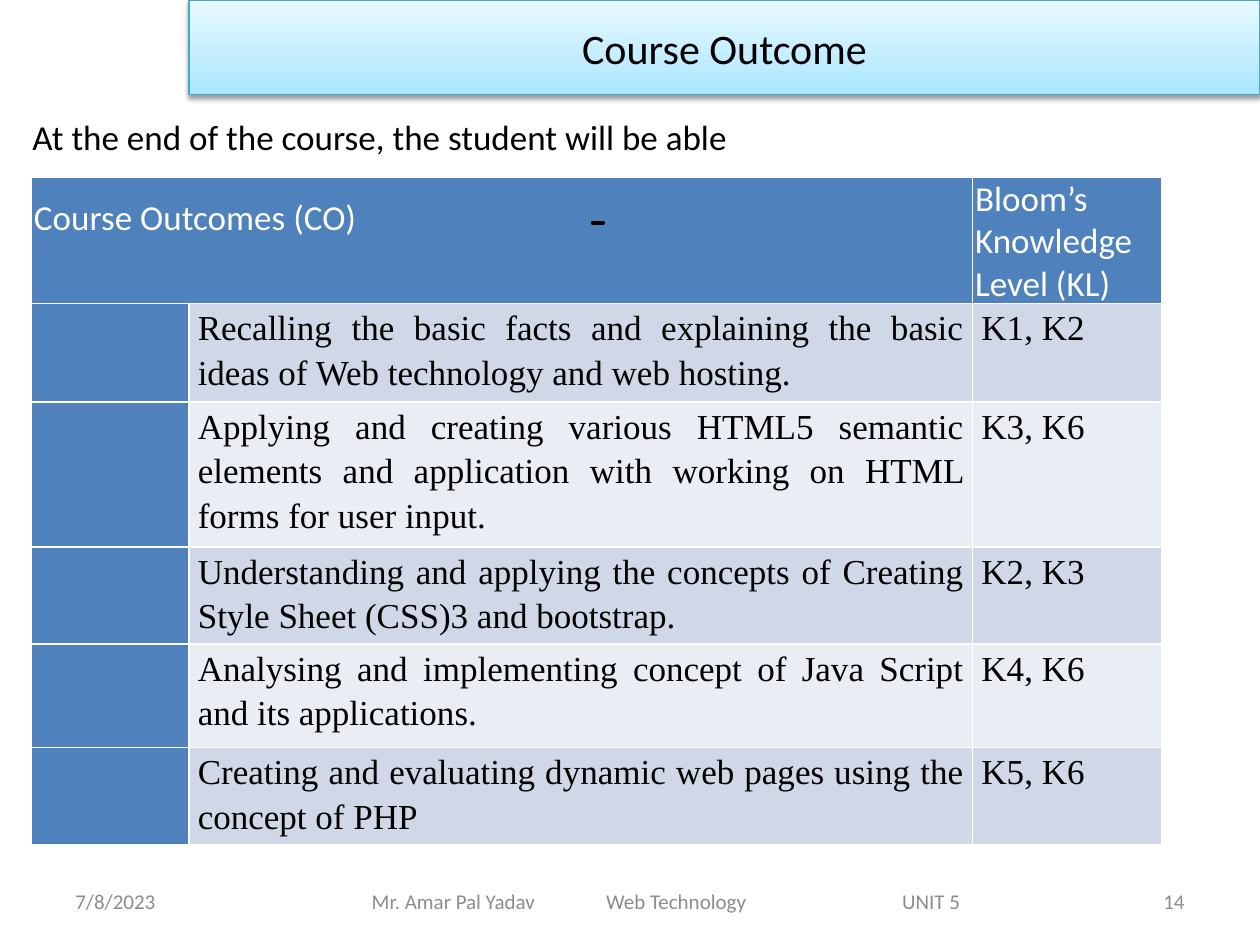
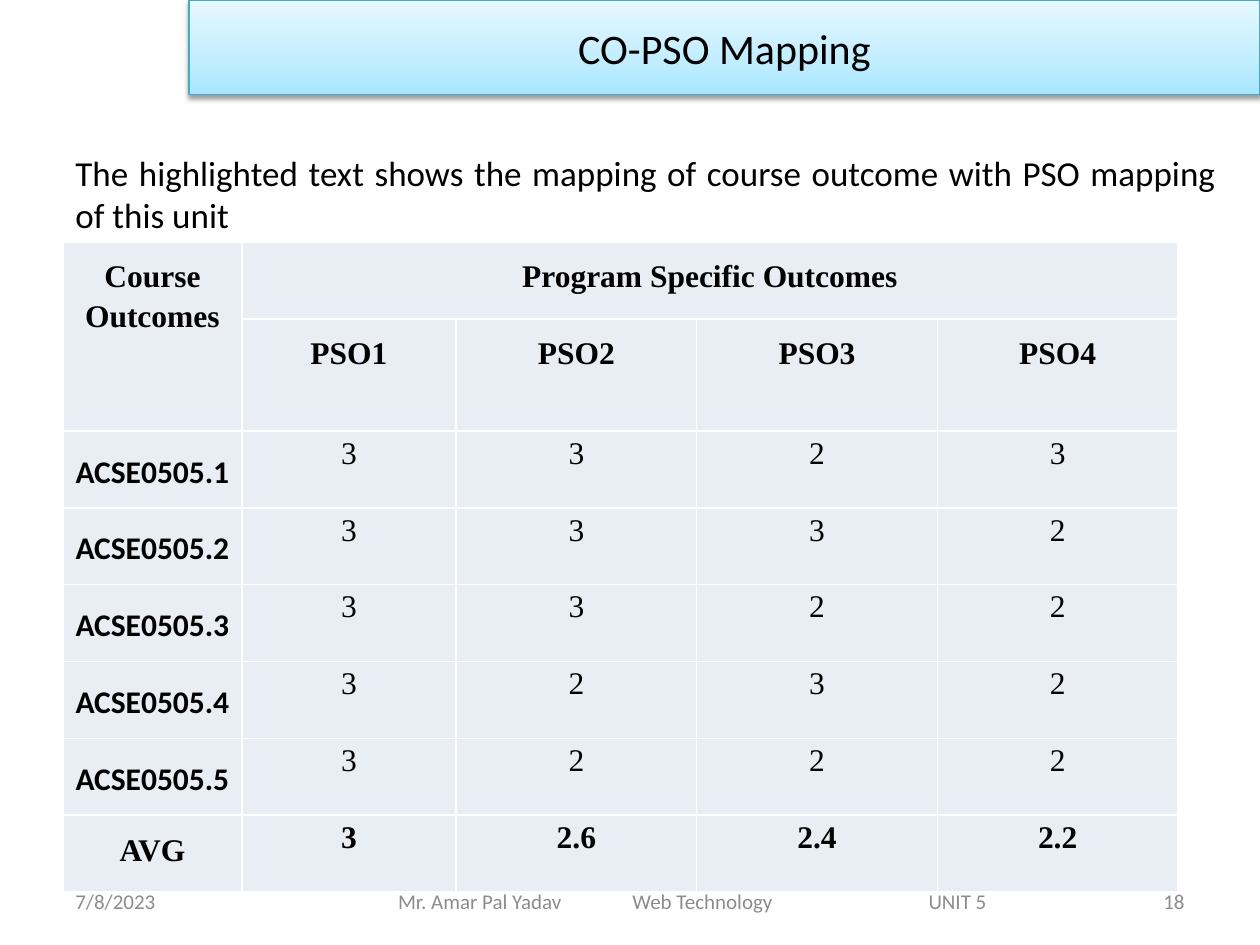
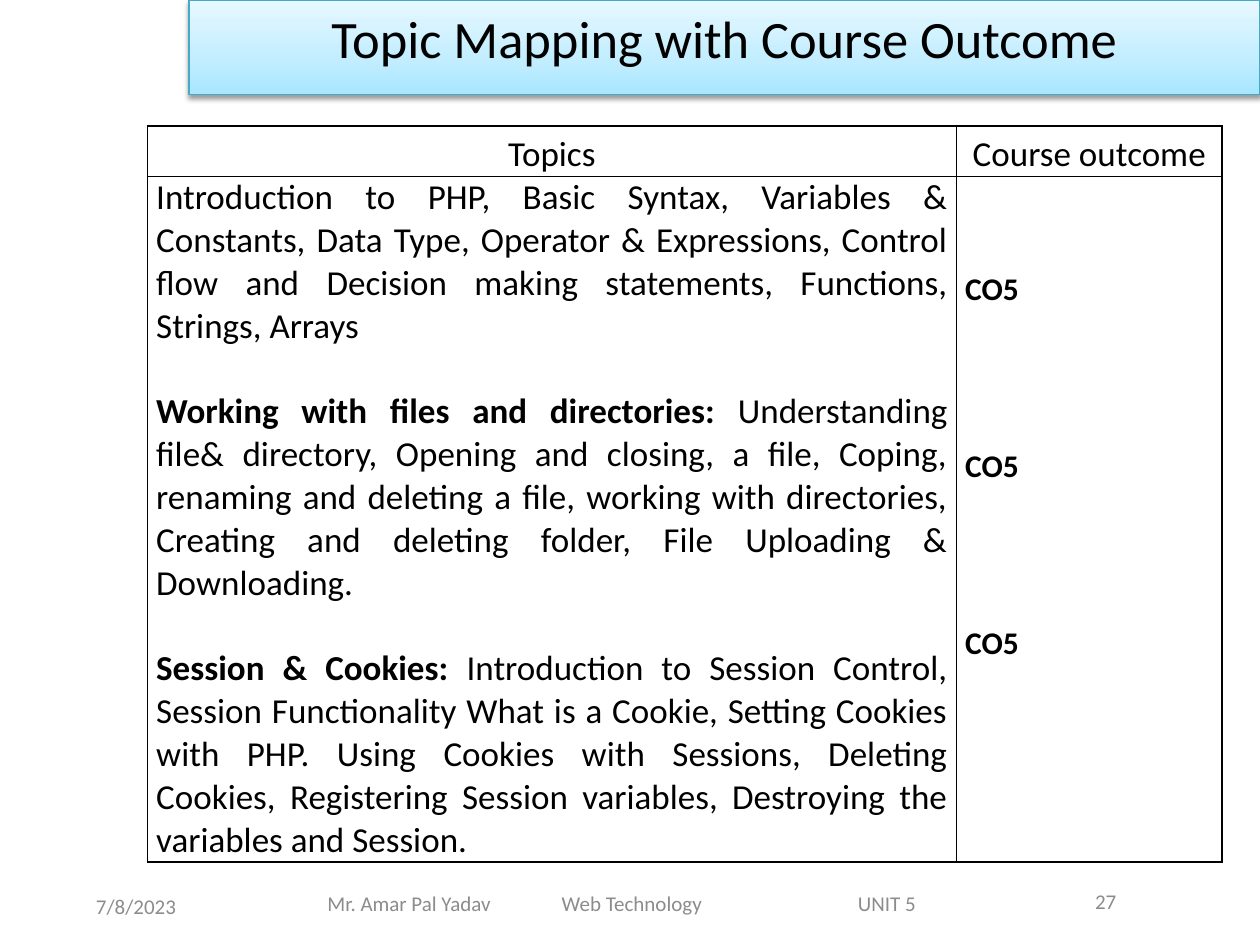
from lxml import etree
from pptx import Presentation
from pptx.dml.color import RGBColor
from pptx.enum.shapes import MSO_SHAPE
from pptx.enum.text import MSO_ANCHOR, PP_ALIGN
from pptx.oxml.ns import nsdecls, qn
from pptx.oxml import parse_xml
from pptx.util import Inches, Pt

RECT = MSO_SHAPE.RECTANGLE
TOP, MIDDLE = MSO_ANCHOR.TOP, MSO_ANCHOR.MIDDLE
LEFT, CENTER, RIGHT, JUSTIFY = (
    PP_ALIGN.LEFT, PP_ALIGN.CENTER, PP_ALIGN.RIGHT, PP_ALIGN.JUSTIFY)
SANS, SERIF = "Calibri", "Times New Roman"
C = {"text": "000000", "white": "FFFFFF", "footer": "8C8C8C", "head": "4F81BD",
     "band": "D0D8E8", "pale": "E9EDF4", "title_line": "46AAC5"}
TITLE_STOPS = [(0, "A7E6FF"), (35, "C1EDFF"), (100, "E7F8FF")]
FOOTER = "Mr. Amar Pal Yadav\tWeb Technology\tUNIT 5"
FOOTER_TABS = (1.86, 4.21)
DATE = "7/8/2023"

OUTCOMES = [
    ("Recalling the basic facts and explaining the basic ideas of Web technology "
     "and web hosting.", "K1, K2"),
    ("Applying and creating various HTML5 semantic elements and application with "
     "working on HTML forms for user input.", "K3, K6"),
    ("Understanding and applying the concepts of Creating Style Sheet (CSS)3 and "
     "bootstrap.", "K2, K3"),
    ("Analysing and implementing concept of Java Script and its applications.",
     "K4, K6"),
    ("Creating and evaluating dynamic web pages using the concept of PHP", "K5, K6"),
]
PSO_SCORES = [
    ("ACSE0505.1", 3, 3, 2, 3),
    ("ACSE0505.2", 3, 3, 3, 2),
    ("ACSE0505.3", 3, 3, 2, 2),
    ("ACSE0505.4", 3, 2, 3, 2),
    ("ACSE0505.5", 3, 2, 2, 2),
    ("AVG", 3, 2.6, 2.4, 2.2),
]
TOPICS = [
    "Introduction to PHP, Basic Syntax, Variables & Constants, Data Type, Operator & "
    "Expressions, Control flow and Decision making statements, Functions, Strings, Arrays",
    [("Working with files and directories: ", True),
     ("Understanding file& directory, Opening and closing, a file, Coping, renaming and "
      "deleting a file, working with directories, Creating and deleting folder, File "
      "Uploading & Downloading.", False)],
    [("Session & Cookies: ", True),
     ("Introduction to Session Control, Session Functionality What is a Cookie, Setting "
      "Cookies with PHP. Using Cookies with Sessions, Deleting Cookies, Registering "
      "Session variables, Destroying the variables and Session.", False)],
]
TOPIC_OUTCOMES = ["CO5"] * 3

prs = Presentation()
prs.slide_width, prs.slide_height = Inches(10), Inches(7.5)


def rgb(name):
    return RGBColor.from_string(C[name])


def write(tf, paras, size=20, font=SANS, color="text", bold=False, align=LEFT,
          line=None, gap=0, after=0, tabs=()):
    for i, para in enumerate([paras] if isinstance(paras, str) else paras):
        p = tf.paragraphs[0] if i == 0 else tf.add_paragraph()
        p.alignment = align
        if line:
            p.line_spacing = line
        p.space_before = Pt(gap if i else 0)
        p.space_after = Pt(after)
        if tabs:
            tab_list = etree.SubElement(p._p.get_or_add_pPr(), qn("a:tabLst"))
            for pos in tabs:
                etree.SubElement(tab_list, qn("a:tab"), pos=str(Inches(pos)), algn="l")
        for text, strong in [(para, bold)] if isinstance(para, str) else para:
            r = p.add_run()
            r.text = text
            r.font.size, r.font.name, r.font.bold = Pt(size), font, strong
            r.font.color.rgb = rgb(color)


def add_text(s, box, paras, anchor=TOP, wrap=True, inset=0.1, **fmt):
    tf = s.shapes.add_textbox(*map(Inches, box)).text_frame
    tf.word_wrap, tf.vertical_anchor, tf.margin_left = wrap, anchor, Inches(inset)
    write(tf, paras, **fmt)


def add_title(s, text, size, anchor):
    sp = s.shapes.add_shape(RECT, Inches(1.5), 0, Inches(8.5), Inches(0.75))
    sp.line.color.rgb, sp.line.width = rgb("title_line"), Pt(0.75)
    stops = "".join(f'<a:gs pos="{pos * 1000}"><a:srgbClr val="{color}"/></a:gs>'
                    for pos, color in TITLE_STOPS)
    spPr = sp._element.spPr
    spPr.insert(2, parse_xml(
        f'<a:gradFill {nsdecls("a")} rotWithShape="1"><a:gsLst>{stops}</a:gsLst>'
        '<a:lin ang="16200000" scaled="0"/></a:gradFill>'))
    sp.shadow.inherit = False
    spPr.find(qn("a:effectLst")).append(parse_xml(
        f'<a:outerShdw {nsdecls("a")} blurRad="{Pt(3.1)}" dist="{Pt(1.6)}" dir="5400000" '
        'rotWithShape="0"><a:srgbClr val="000000"><a:alpha val="38000"/></a:srgbClr>'
        '</a:outerShdw>'))
    sp.text_frame.word_wrap, sp.text_frame.vertical_anchor = True, anchor
    write(sp.text_frame, text, size=size, align=CENTER)


def add_slide(title, number, footer_box, footer_inset=0.1, date_box=(0.5, 6.95, 2.33, 0.4),
              number_box=(7.17, 6.95, 2.33, 0.4), aligns=(LEFT, RIGHT),
              title_size=24, title_anchor=MIDDLE):
    s = prs.slides.add_slide(prs.slide_layouts[6])
    add_title(s, title, title_size, title_anchor)
    style = dict(anchor=MIDDLE, size=12, color="footer")
    add_text(s, date_box, DATE, align=aligns[0], **style)
    add_text(s, number_box, number, align=aligns[1], **style)
    add_text(s, footer_box, FOOTER, inset=footer_inset, tabs=FOOTER_TABS, **style)
    return s


def add_grid(s, left, top, cols, rows, border):
    table = s.shapes.add_table(len(rows), len(cols), Inches(left), Inches(top),
                               Inches(sum(cols)), Inches(sum(rows))).table
    table.first_row = table.horz_banding = False
    for column, width in zip(table.columns, cols):
        column.width = Inches(width)
    for row, height in zip(table.rows, rows):
        row.height = Inches(height)
    for cell in table.iter_cells():
        tcPr = cell._tc.get_or_add_tcPr()
        for side in "LRTB":
            tcPr.append(parse_xml(
                f'<a:ln{side} {nsdecls("a")} w="{Pt(1)}"><a:solidFill>'
                f'<a:srgbClr val="{C[border]}"/></a:solidFill></a:ln{side}>'))
        cell.fill.background()
    return table


def fill_cell(cell, paras="", fill=None, anchor=TOP, side=0.07, top=0, bottom=0, **fmt):
    cell.margin_left = cell.margin_right = Inches(side)
    cell.margin_top, cell.margin_bottom = Inches(top), Inches(bottom)
    cell.vertical_anchor = anchor
    if fill:
        cell.fill.solid()
        cell.fill.fore_color.rgb = rgb(fill)
    if paras:
        write(cell.text_frame, paras, **fmt)


def course_outcome():
    s = add_slide("Course Outcome", "14", (2.17, 6.95, 6.25, 0.4), 0.78)
    add_text(s, (0.16, 0.87, 5.77, 0.44),
             "At the end of the course, the student will be able", wrap=False)
    t = add_grid(s, 0.25, 1.41, [1.25, 6.22, 1.5],
                 [0.98, 0.78, 1.14, 0.77, 0.82, 0.77], "white")
    t.cell(0, 0).merge(t.cell(0, 1))
    head = dict(fill="head", side=0.02, color="white")
    fill_cell(t.cell(0, 0), "Course Outcomes (CO)", top=0.32, line=Pt(12.7), **head)
    fill_cell(t.cell(0, 2), "Bloom’s Knowledge Level (KL)", anchor=MIDDLE, **head)
    for i, (outcome, level) in enumerate(OUTCOMES, 1):
        body = dict(fill="band" if i % 2 else "pale", font=SERIF, line=1.15)
        fill_cell(t.cell(i, 0), fill="head")
        fill_cell(t.cell(i, 1), outcome, align=JUSTIFY, **body)
        fill_cell(t.cell(i, 2), level, **body)
    dash = s.shapes.add_shape(RECT, *map(Inches, (4.7, 1.76, 0.09, 0.02)))
    dash.shadow.inherit = False
    dash.fill.background()
    dash.line.color.rgb, dash.line.width = rgb("text"), Pt(1.42)


def pso_mapping():
    s = add_slide("CO-PSO Mapping", "18", (2.75, 6.95, 5.5, 0.4), 0.41)
    add_text(s, (0.5, 1.15, 9.25, 0.77),
             "The highlighted text shows the mapping of course outcome with PSO mapping "
             "of this unit", align=JUSTIFY)
    t = add_grid(s, 0.5, 1.92, [1.42, 1.7] + [1.91] * 3, [0.61, 0.89] + [0.61] * 6, "white")
    t.cell(0, 0).merge(t.cell(1, 0))
    t.cell(0, 1).merge(t.cell(0, 4))
    base = dict(fill="pale", size=18, align=CENTER, line=1.15)
    head = dict(base, font=SERIF, bold=True, top=0.1, bottom=0.1)
    fill_cell(t.cell(0, 0), "Course Outcomes", **head)
    fill_cell(t.cell(0, 1), "Program Specific Outcomes", **head)
    for j in range(1, 5):
        fill_cell(t.cell(1, j), f"PSO{j}", **head)
    for i, (label, *scores) in enumerate(PSO_SCORES, 2):
        average = label == "AVG"
        code = dict(base, bold=True, anchor=MIDDLE, after=10)
        fill_cell(t.cell(i, 0), label, **(head if average else code))
        for j, score in enumerate(scores, 1):
            fill_cell(t.cell(i, j), str(score), font=SERIF, bold=average, **base)


def topic_mapping():
    s = add_slide("Topic Mapping with Course Outcome", "27", (2.5, 6.93, 6.48, 0.47),
                  date_box=(0.08, 6.99, 2, 0.4), number_box=(7.19, 6.95, 3.17, 0.4),
                  aligns=(CENTER, CENTER), title_size=30, title_anchor=TOP)
    t = add_grid(s, 1.17, 1, [6.42, 2.11], [0.4, 5.44], "text")
    for j, label in enumerate(["Topics", "Course outcome"]):
        fill_cell(t.cell(0, j), label, anchor=MIDDLE, align=CENTER, line=1.15)
    fill_cell(t.cell(1, 0), TOPICS, anchor=MIDDLE, align=JUSTIFY, gap=24.4)
    fill_cell(t.cell(1, 1), TOPIC_OUTCOMES, top=0.7, size=18, bold=True, line=1.15, gap=75.8)


course_outcome()
pso_mapping()
topic_mapping()
prs.save("out.pptx")
